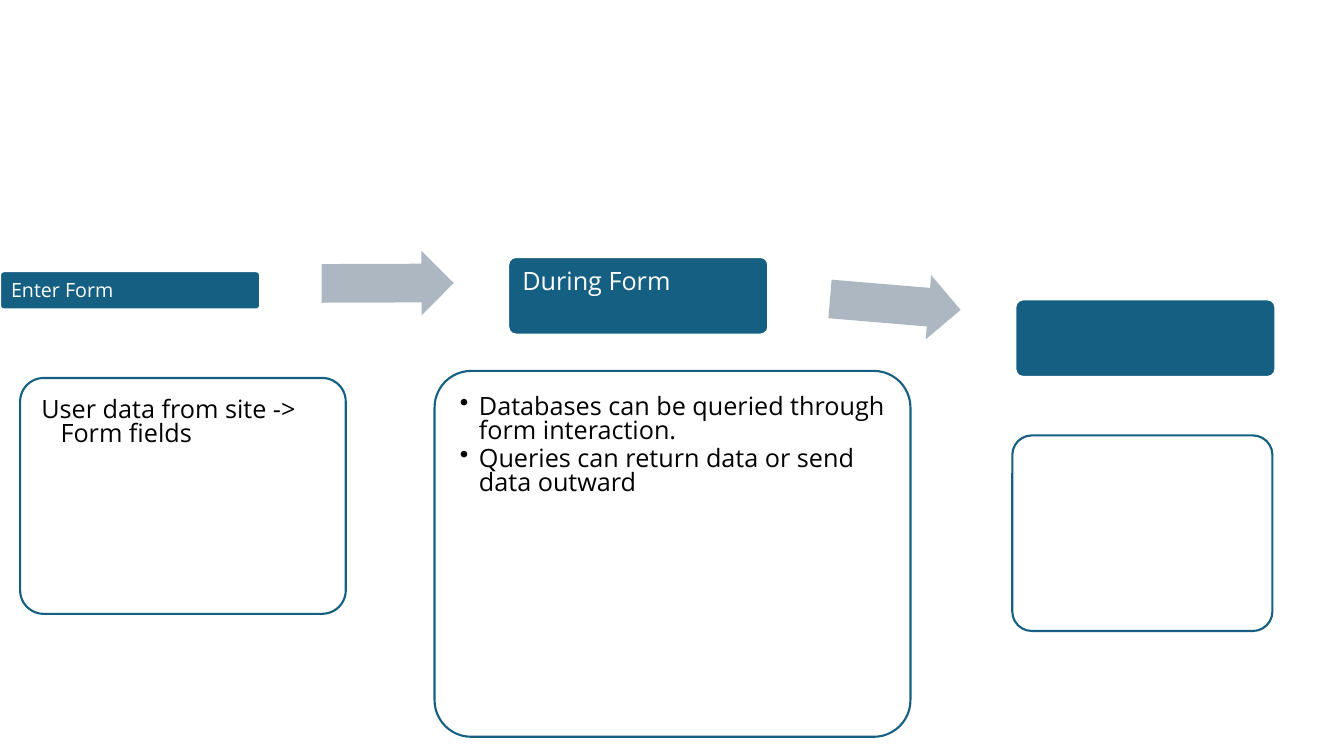
import pptx
import pptx.util
import pptx.dml.color
import pptx.enum.shapes
import pptx.oxml
import pptx.oxml.ns
from pptx.util import Inches

FONT = "Open Sans"
BLUE, GREY, WHITE, BLACK = "156082", "ACB7C1", "FFFFFF", "000000"
SHAPE = pptx.enum.shapes.MSO_SHAPE


def color(value):
    return pptx.dml.color.RGBColor.from_string(value)


def add_block(s, kind, box, fill, line=None, adjustments=(0.1,), alpha=None):
    """Add a filled preset shape, outlined if a line colour is given."""
    sp = s.shapes.add_shape(kind, *map(Inches, box))
    sp.shadow.inherit = False
    for i, value in enumerate(adjustments):
        sp.adjustments[i] = value
    sp.fill.solid()
    sp.fill.fore_color.rgb = color(fill)
    if alpha:
        clr = sp.fill._xPr.find(".//" + pptx.oxml.ns.qn("a:srgbClr"))
        node = pptx.oxml.parse_xml(
            f'<a:alpha {pptx.oxml.ns.nsdecls("a")} val="{alpha * 1000}"/>')
        clr.append(node)
    if line:
        sp.line.color.rgb = color(line)
        sp.line.width = pptx.util.Pt(1.5)
    else:
        sp.line.fill.background()
    return sp


def set_hanging(p, bullet):
    """Hang the first line, with or without a bullet."""
    pPr = p._p.get_or_add_pPr()
    pPr.set("marL", str(Inches(0.19)))
    pPr.set("indent", str(-Inches(0.19)))
    tag = f'a:buChar {pptx.oxml.ns.nsdecls("a")} char="•"' if bullet \
        else f'a:buNone {pptx.oxml.ns.nsdecls("a")}'
    pPr.append(pptx.oxml.parse_xml(f"<{tag}/>"))


def add_text(s, box, lines, size, ink, inset, bottom, after,
             hanging=False, bullet=False):
    """Add a wrapping text box with one paragraph per line."""
    tf = s.shapes.add_textbox(*map(Inches, box)).text_frame
    frame = dict(word_wrap=True, margin_left=Inches(inset),
                 margin_top=Inches(inset), margin_right=Inches(inset),
                 margin_bottom=Inches(bottom))
    for name, value in frame.items():
        setattr(tf, name, value)
    for i, line in enumerate(lines):
        p = tf.add_paragraph() if i else tf.paragraphs[0]
        p.line_spacing = 0.8
        p.space_after = pptx.util.Pt(size * after)
        if hanging:
            p.level = 1
            set_hanging(p, bullet)
        r = p.add_run()
        r.text = line
        for name, value in dict(name=FONT, size=pptx.util.Pt(size)).items():
            setattr(r.font, name, value)
        r.font.color.rgb = color(ink)


def add_header(s, box, text=None, size=18, inset=0.14):
    """Add a blue stage header; its label fills the upper two thirds."""
    add_block(s, SHAPE.ROUNDED_RECTANGLE, box, BLUE, WHITE)
    if text:
        left, top, width, height = box
        add_text(s, (left, top, width, height * 2 / 3), [text], size, WHITE,
                 inset, inset / 2, 0.35)


def add_card(s, box, lines=(), pad=0.0, bullet=False):
    """Add an outlined detail card with its text set in by pad."""
    add_block(s, SHAPE.ROUNDED_RECTANGLE, box, WHITE, BLUE, alpha=90)
    if lines:
        left, top, width, height = box
        inner = (left + pad, top + pad, width - 2 * pad, height - 2 * pad)
        add_text(s, inner, lines, 18, BLACK, 0.14, 0.14, 0.15, True, bullet)


def add_arrow(s, box, rotation):
    sp = add_block(s, SHAPE.RIGHT_ARROW, box, GREY, adjustments=(0.6, 0.5))
    sp.rotation = rotation


def main():
    prs = pptx.Presentation()
    prs.slide_width, prs.slide_height = Inches(13.33), Inches(7.5)
    s = prs.slides.add_slide(prs.slide_layouts[6])

    # Stage 1: entering the form
    add_header(s, (0, 2.69, 2.58, 0.38), "Enter Form", 14, 0.11)
    add_card(s, (0.2, 3.75, 3.23, 2.34),
             ["User data from site -> Form fields"], 0.07)
    add_arrow(s, (3.19, 2.49, 1.31, 0.64), -0.2)

    # Stage 2: during the form
    add_header(s, (5.04, 2.55, 2.58, 0.77), "During Form")
    add_card(s, (4.31, 3.68, 4.72, 3.63),
             ["Databases can be queried through form interaction.",
              "Queries can return data or send data outward"], 0.11, True)
    add_arrow(s, (8.23, 2.7, 1.3, 0.64), 4.8)

    # Stage 3: still unlabelled
    add_header(s, (10.07, 2.97, 2.58, 0.77))
    add_card(s, (10.04, 4.32, 2.58, 1.94))

    prs.save("out.pptx")


if __name__ == "__main__":
    main()
